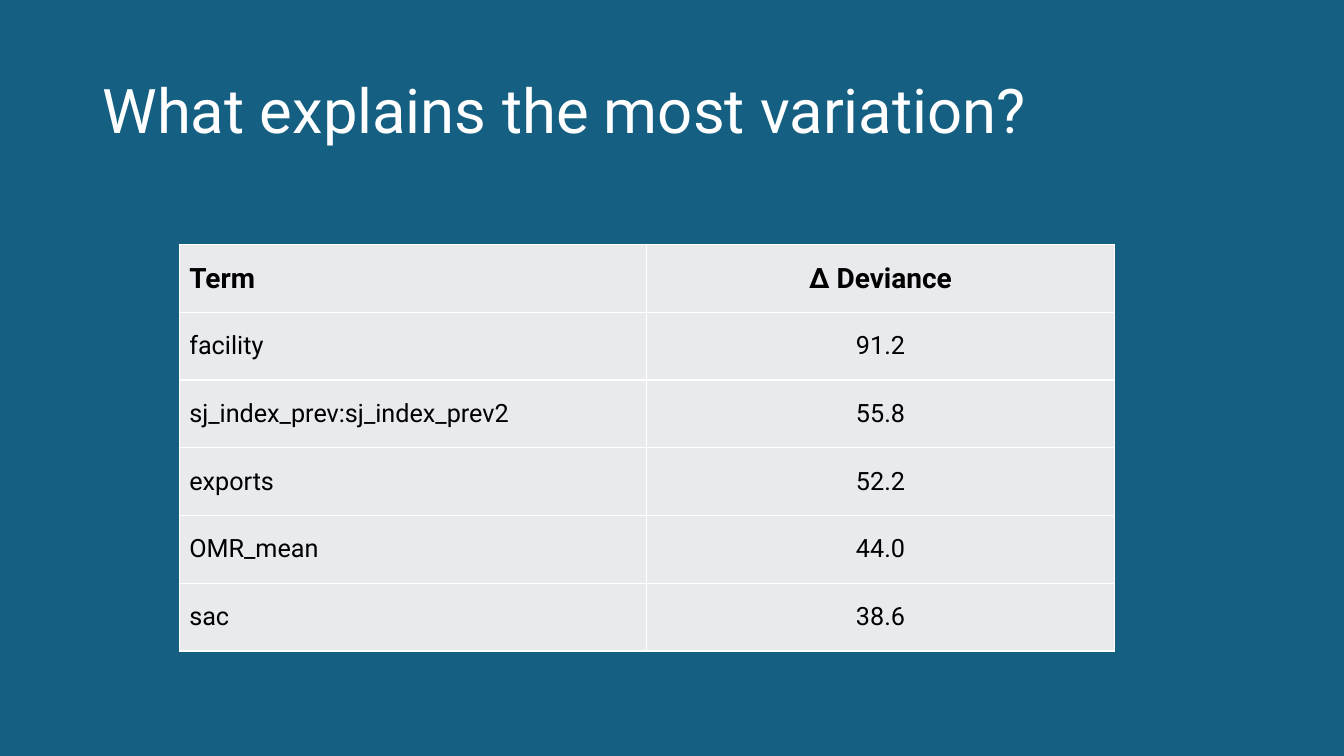
from lxml.etree import SubElement
from pptx import Presentation
from pptx.dml.color import RGBColor
from pptx.enum.text import MSO_ANCHOR as Anchor, PP_ALIGN as Align
from pptx.oxml.ns import qn
from pptx.util import Pt

FONT = "Roboto"
TEAL, WHITE, BLACK, PALE_GREY = "156082", "FFFFFF", "000000", "E8EAED"
DEVIANCES = [
    ("Term", "Δ Deviance"),
    ("facility", "91.2"),
    ("sj_index_prev:sj_index_prev2", "55.8"),
    ("exports", "52.2"),
    ("OMR_mean", "44.0"),
    ("sac", "38.6"),
]


def paint(target, colour):
    """Give a fill or a font a solid colour from a hex string."""
    if hasattr(target, "solid"):
        target.solid()
        target.fore_color.rgb = RGBColor.from_string(colour)
    else:
        target.color.rgb = RGBColor.from_string(colour)


def style(paragraph, size, colour, align, bold=False):
    """Set the font and alignment of a paragraph."""
    paragraph.alignment = align
    paragraph.font.name = FONT
    paragraph.font.size = Pt(size)
    paragraph.font.bold = bold
    paint(paragraph.font, colour)


def border(cell, colour, width):
    """Draw a line on all four sides of a table cell."""
    properties = cell._tc.get_or_add_tcPr()
    for position, side in enumerate(("a:lnL", "a:lnR", "a:lnT", "a:lnB")):
        edge = SubElement(properties, qn(side), w=str(Pt(width)))
        fill = SubElement(edge, qn("a:solidFill"))
        SubElement(fill, qn("a:srgbClr"), val=colour)
        properties.insert(position, edge)


def add_heading(slide, left, top, width, height):
    """Place the slide title in the given box."""
    heading = slide.shapes.title
    heading.left, heading.top = Pt(left), Pt(top)
    heading.width, heading.height = Pt(width), Pt(height)
    heading.text_frame.text = "What explains the most variation?"
    heading.text_frame.vertical_anchor = Anchor.MIDDLE
    question = heading.text_frame.paragraphs[0]
    style(question, 44, WHITE, Align.LEFT)
    question.line_spacing = 0.9


def add_deviance_table(slide, left, top, width, height):
    """Fill the given box with the table of terms and deviances."""
    frame = slide.shapes.add_table(
        len(DEVIANCES), 2, Pt(left), Pt(top), Pt(width), Pt(height))
    deviances = frame.table
    deviances.horz_banding = False
    for row, entries in enumerate(DEVIANCES):
        for column, entry in enumerate(entries):
            cell = deviances.cell(row, column)
            cell.text = entry
            cell.vertical_anchor = Anchor.MIDDLE
            paint(cell.fill, PALE_GREY)
            border(cell, WHITE, 1)
            style(cell.text_frame.paragraphs[0], 18 if row else 20, BLACK,
                  Align.CENTER if column else Align.LEFT, bold=row == 0)


def main():
    """Build the slide and save it."""
    deck = Presentation()
    deck.slide_width, deck.slide_height = Pt(960), Pt(540)
    slide = deck.slides.add_slide(deck.slide_layouts[5])
    paint(slide.background.fill, TEAL)
    add_heading(slide, 66, 28.75, 828, 104.4)
    add_deviance_table(slide, 128, 174.7, 668, 290.4)
    deck.save("out.pptx")


if __name__ == "__main__":
    main()
